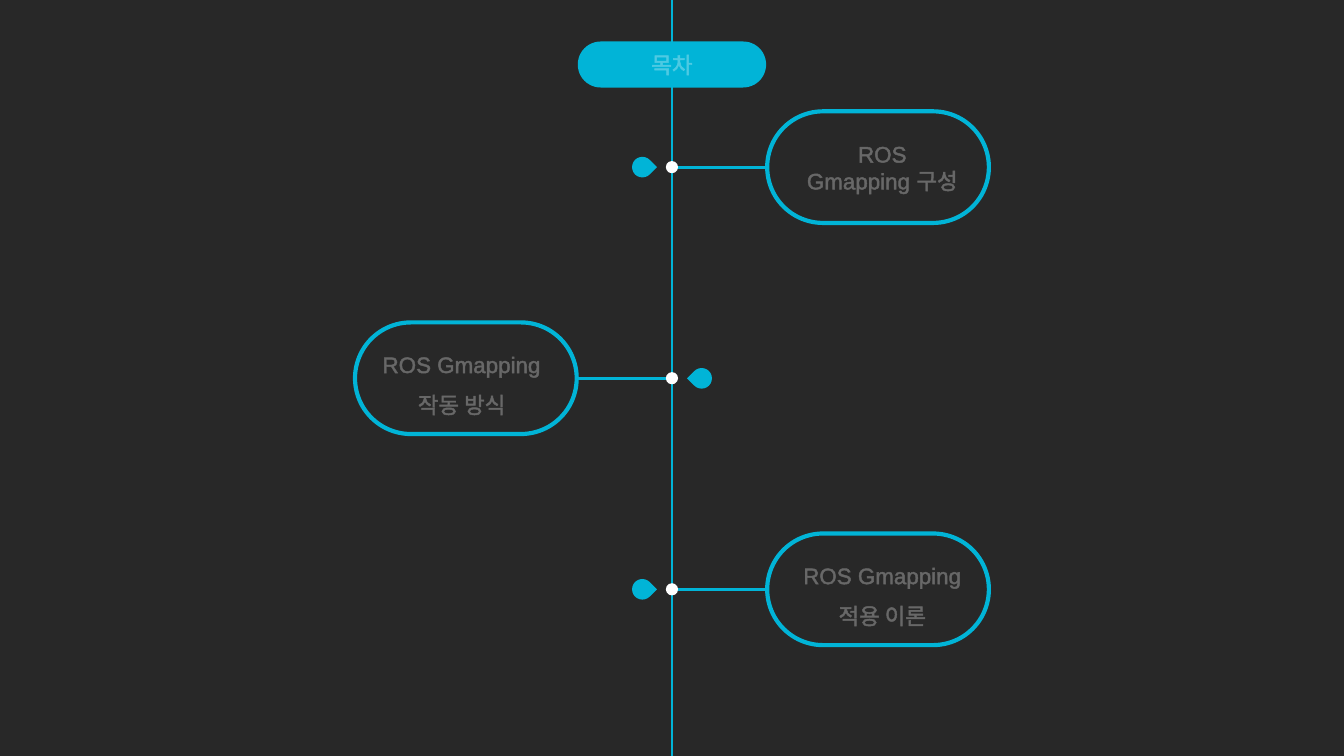
"""Builds a dark contents slide with a central timeline of three topics."""
from lxml.etree import SubElement as Sub
from pptx import Presentation as Deck
from pptx.dml.color import RGBColor as Rgb
from pptx.enum.shapes import MSO_CONNECTOR as Link, MSO_SHAPE as Kind
from pptx.enum.text import MSO_AUTO_SIZE as Fit, PP_ALIGN as Align
from pptx.oxml.ns import qn
from pptx.util import Cm, Pt

DARK = Rgb(0x28, 0x28, 0x28)
CYAN = Rgb(0x01, 0xB4, 0xD7)
WHITE = Rgb(0xFF, 0xFF, 0xFF)
PALE = Rgb(0xF2, 0xF2, 0xF2)

WIDE, HIGH = 25.4, 14.29
MID = WIDE / 2
TOP, STEP = 3.16, 3.99
GAP = 1.8
PILL_W, PILL_H = 4.19, 2.11
DOT, DROP = 0.23, 0.39
FONT = {"name": "Arial", "size": Pt(12)}
FRAME = {"word_wrap": False, "auto_size": Fit.SHAPE_TO_FIT_TEXT}
TOPICS = [
    (1, ["ROS", "Gmapping 구성"], 1.0, 1.27),
    (-1, ["ROS Gmapping", "작동 방식"], 1.5, 1.8),
    (1, ["ROS Gmapping", "적용 이론"], 1.5, 1.8),
]


def apply(item, props):
    for key, val in props.items():
        setattr(item, key, val)


def box(x, y, w, h):
    return Cm(x - w / 2), Cm(y - h / 2), Cm(w), Cm(h)


def add_form(group, kind, area, fill=None, line=None):
    form = group.shapes.add_shape(kind, *box(*area))
    form.shadow.inherit = False
    if fill is None:
        form.fill.background()
    else:
        form.fill.solid()
        form.fill.fore_color.rgb = fill
    if line is None:
        form.line.fill.background()
    else:
        form.line.color.rgb = line
        form.line.width = Pt(2.25)
    return form


def add_pill(group, area, **paint):
    pill = add_form(group, Kind.ROUNDED_RECTANGLE, area, **paint)
    pill.adjustments[0] = 0.5
    return pill


def add_line(group, x1, y1, x2, y2):
    line = group.shapes.add_connector(Link.STRAIGHT, Cm(x1), Cm(y1), Cm(x2), Cm(y2))
    line.line.color.rgb = CYAN
    line.line.width = Pt(1.5)
    Sub(line._element.spPr, qn("a:effectLst"))
    return line


def add_edge(run, tint):
    props = run._r.get_or_add_rPr()
    edge = Sub(props, qn("a:ln"), w=str(Pt(0.75)))
    props.insert(0, edge)
    fill = Sub(edge, qn("a:solidFill"))
    color = Sub(fill, qn("a:srgbClr"), val=str(tint))
    Sub(color, qn("a:alpha"), val="30000")


def add_text(group, area, lines, tint, space=1.0):
    frame = group.shapes.add_textbox(*box(*area)).text_frame
    apply(frame, FRAME)
    frame.text = "\n".join(lines)
    for para in frame.paragraphs:
        apply(para, {"alignment": Align.CENTER, "line_spacing": space})
        for run in para.runs:
            apply(run.font, FONT)
            run.font.color.rgb = WHITE
            add_edge(run, tint)


def add_title(slide):
    group = slide.shapes.add_group_shape()
    add_pill(group, (MID, 1.22, 3.56, 0.87), fill=CYAN)
    add_text(group, (MID, 1.22, 1.37, 0.76), ["목차"], WHITE)


def add_topic(slide, y, side, lines, space, high):
    group = slide.shapes.add_group_shape()
    x = MID + side * (GAP + PILL_W / 2)
    line = add_line(group, MID + side * GAP, y, MID, y)
    add_form(group, Kind.OVAL, (MID, y, DOT, DOT), fill=WHITE)
    drop = add_form(group, Kind.TEAR, (MID - side * 0.56, y, DROP, DROP), fill=CYAN)
    drop.rotation = 45 if side > 0 else 225
    add_text(group, (x + side * 0.08, y, 3.5, high), lines, PALE, space)
    pill = add_pill(group, (x, y, PILL_W, PILL_H), line=CYAN)
    line.begin_connect(pill, 1 if side > 0 else 3)


def main():
    deck = Deck()
    apply(deck, {"slide_width": Cm(WIDE), "slide_height": Cm(HIGH)})
    slide = deck.slides.add_slide(deck.slide_layouts[6])
    slide.background.fill.solid()
    slide.background.fill.fore_color.rgb = DARK
    add_line(slide, MID, 0, MID, HIGH)
    add_title(slide)
    for row, topic in enumerate(TOPICS):
        add_topic(slide, TOP + row * STEP, *topic)
    deck.save("out.pptx")


if __name__ == "__main__":
    main()
